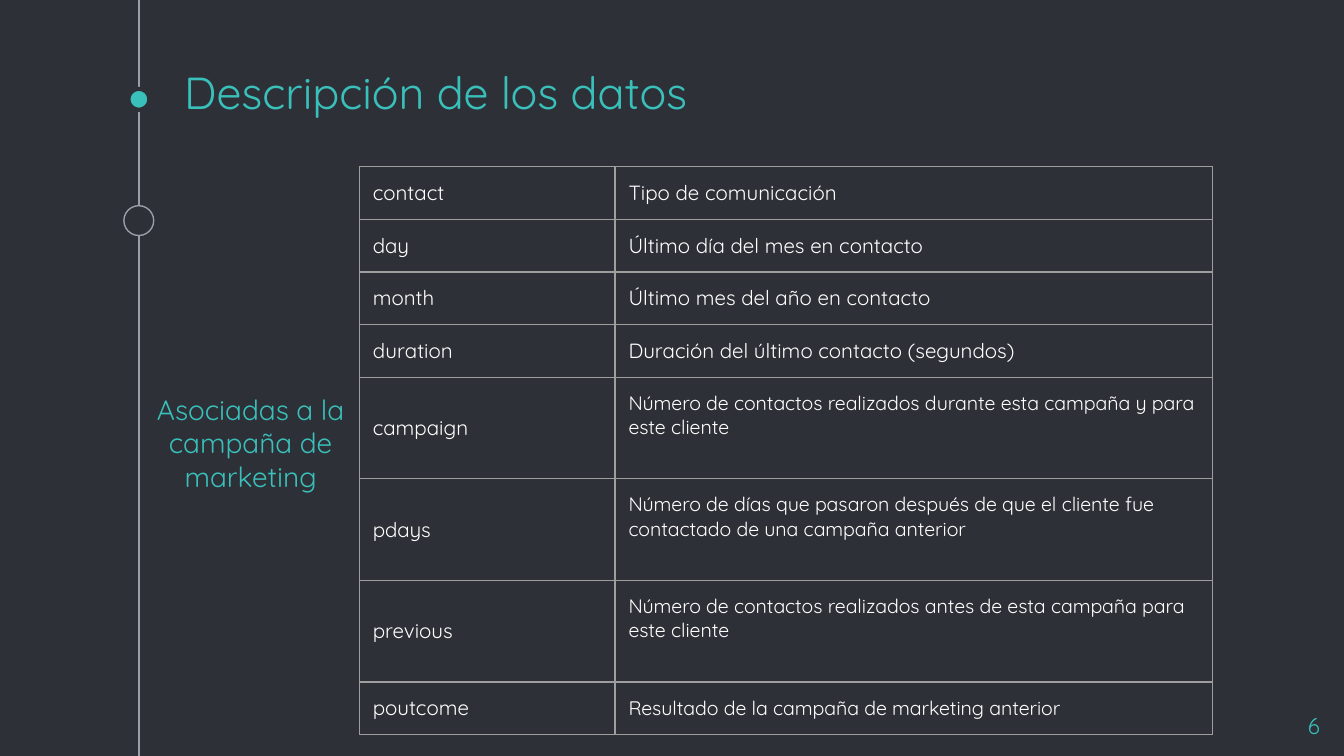
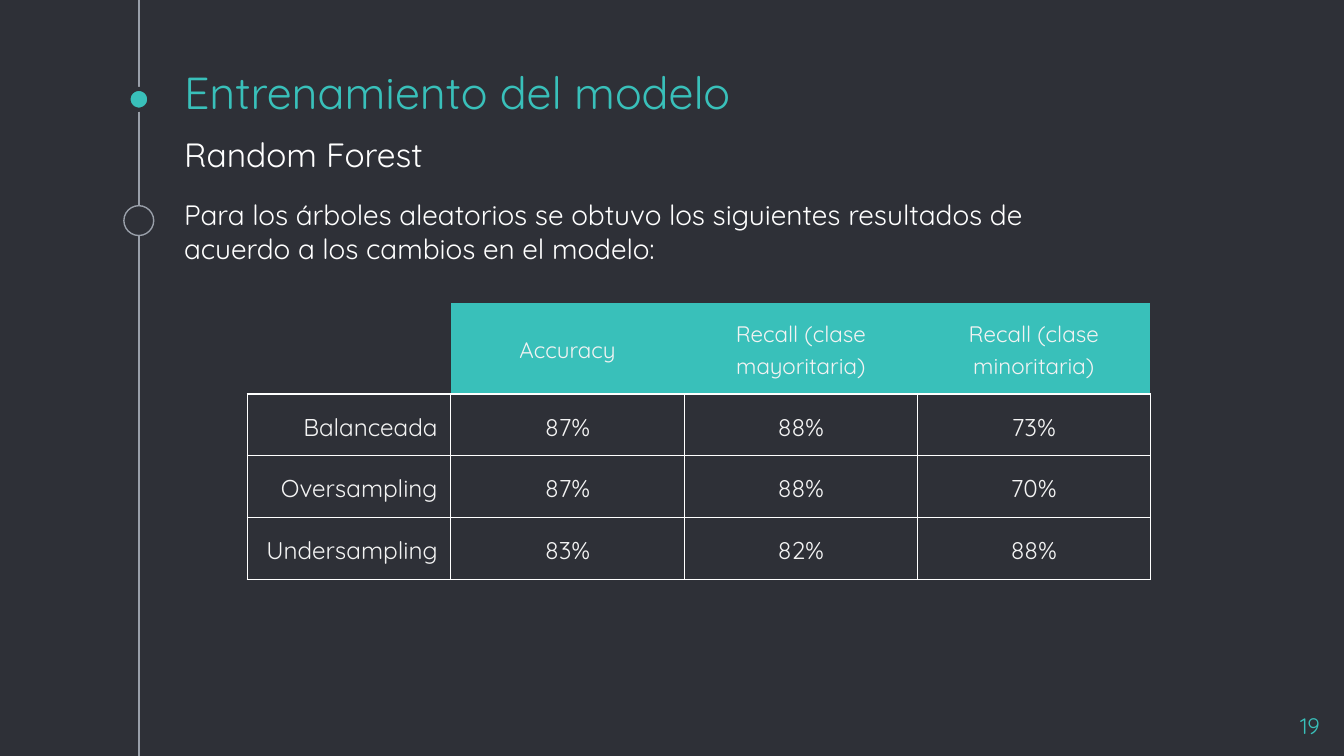
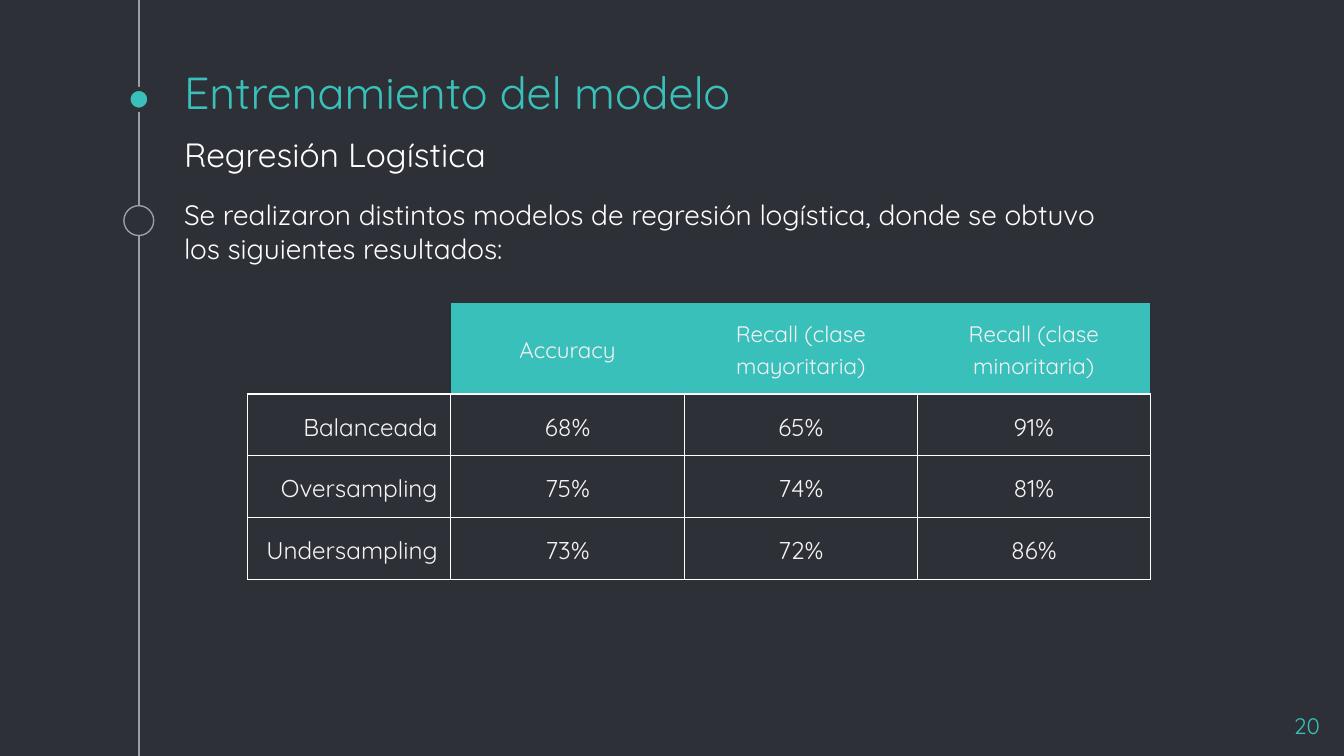
from lxml.etree import SubElement
from pptx import Presentation
from pptx.dml.color import RGBColor
from pptx.enum.shapes import MSO_CONNECTOR, MSO_SHAPE
from pptx.enum.text import MSO_ANCHOR, MSO_AUTO_SIZE, PP_ALIGN
from pptx.oxml.ns import qn
from pptx.util import Pt

COLORS = {
    "background": "2E3037",
    "accent": "39C0BA",
    "timeline": "999FA9",
    "grid": "9E9E9E",
    "header_text": "F3F3F3",
    "white": "FFFFFF",
}
FONT = "Quicksand"
MARGIN = 7.2
TIMELINE_X = 74.4
COMPARISON_LAYOUT = 4
SUBTITLE, BODY = 1, 3

VARIABLES = [
    ("contact", "Tipo de comunicación"),
    ("day", "Último día del mes en contacto"),
    ("month", "Último mes del año en contacto"),
    ("duration", "Duración del último contacto (segundos)"),
    ("campaign", "Número de contactos realizados durante esta campaña y para este cliente"),
    ("pdays", "Número de días que pasaron después de que el cliente fue contactado "
              "de una campaña anterior"),
    ("previous", "Número de contactos realizados antes de esta campaña para este cliente"),
    ("poutcome", "Resultado de la campaña de marketing anterior"),
]
FIRST_SMALL_ROW = 4
TALL_ROWS = (4, 5, 6)

METRICS = ["", "Accuracy", "Recall (clase mayoritaria)", "Recall (clase minoritaria)"]
SAMPLINGS = ["Balanceada", "Oversampling", "Undersampling"]
MODELS = [
    (19, "Random Forest",
     "Para los árboles aleatorios se obtuvo los siguientes resultados de acuerdo "
     "a los cambios en el modelo:",
     [("87%", "88%", "73%"), ("87%", "88%", "70%"), ("83%", "82%", "88%")]),
    (20, "Regresión Logística",
     "Se realizaron distintos modelos de regresión logística, donde se obtuvo "
     "los siguientes resultados:",
     [("68%", "65%", "91%"), ("75%", "74%", "81%"), ("73%", "72%", "86%")]),
]


def rgb(color):
    return RGBColor.from_string(COLORS[color])


class Deck:
    def __init__(self):
        self.presentation = Presentation()
        self.presentation.slide_width = Pt(720)
        self.presentation.slide_height = Pt(405)
        background = self.presentation.slide_master.background.fill
        background.solid()
        background.fore_color.rgb = rgb("background")
        self.slide = None

    def new_slide(self, number, title):
        layout = self.presentation.slide_layouts[COMPARISON_LAYOUT]
        self.slide = self.presentation.slides.add_slide(layout)
        self.timeline()
        self.placeholder(0, title, (91.4, 43.2, 540, 27.4), 24)
        number_box = self.slide.shapes.add_textbox(Pt(671), Pt(374.4), Pt(43.2), Pt(24.5))
        self.set_text(number_box.text_frame, str(number), 12, "accent", PP_ALIGN.RIGHT)

    def timeline(self):
        line = self.slide.shapes.add_connector(
            MSO_CONNECTOR.STRAIGHT, Pt(TIMELINE_X), 0, Pt(TIMELINE_X), Pt(405))
        line.line.color.rgb = rgb("timeline")
        line.line.width = Pt(0.75)
        SubElement(line._element.spPr, qn("a:effectLst"))
        self.dot(53.2, 11.2, "accent", "background", 2.25)
        self.dot(118.2, 16, "background", "timeline", 0.75)

    def dot(self, center_y, diameter, fill, outline, width):
        dot = self.slide.shapes.add_shape(
            MSO_SHAPE.OVAL, Pt(TIMELINE_X - diameter / 2), Pt(center_y - diameter / 2),
            Pt(diameter), Pt(diameter))
        dot.shadow.inherit = False
        dot.fill.solid()
        dot.fill.fore_color.rgb = rgb(fill)
        dot.line.color.rgb = rgb(outline)
        dot.line.width = Pt(width)

    def placeholder(self, index, text, box, size, color="accent",
                    align=PP_ALIGN.LEFT, anchor=MSO_ANCHOR.BOTTOM, space_before=0):
        shape = self.slide.placeholders[index]
        shape.left, shape.top, shape.width, shape.height = map(Pt, box)
        shape.text_frame.vertical_anchor = anchor
        self.set_text(shape.text_frame, text, size, color, align, space_before)

    def set_text(self, frame, text, size, color, align, space_before=0):
        frame.word_wrap = True
        frame.auto_size = MSO_AUTO_SIZE.NONE
        frame.margin_left = frame.margin_right = Pt(MARGIN)
        frame.margin_top = frame.margin_bottom = Pt(MARGIN)
        frame.text = text
        self.style_paragraph(frame.paragraphs[0], size, color, align,
                             space_before=space_before)

    def style_paragraph(self, paragraph, size, color, align, spacing=1.0, space_before=0):
        paragraph.alignment = align
        paragraph.line_spacing = spacing
        paragraph.space_before = Pt(space_before)
        for run in paragraph.runs:
            run.font.name = FONT
            run.font.size = Pt(size)
            run.font.bold = False
            run.font.color.rgb = rgb(color)

    def table(self, left, top, widths, heights):
        table = self.slide.shapes.add_table(
            len(heights), len(widths), Pt(left), Pt(top),
            Pt(sum(widths)), Pt(sum(heights))).table
        table.first_row = table.horz_banding = False
        for column, width in zip(table.columns, widths):
            column.width = Pt(width)
        for row, height in zip(table.rows, heights):
            row.height = Pt(height)
        return table

    def cell(self, cell, text, size, border, color="white", align=PP_ALIGN.LEFT,
             anchor=MSO_ANCHOR.MIDDLE, spacing=1.0, fill=None, sides="LRTB"):
        cell.margin_left = cell.margin_right = Pt(MARGIN)
        cell.margin_top = cell.margin_bottom = Pt(MARGIN)
        cell.vertical_anchor = anchor
        cell.text_frame.text = text
        self.style_paragraph(cell.text_frame.paragraphs[0], size, color, align, spacing)
        self.borders(cell, border, sides)
        if fill:
            cell.fill.solid()
            cell.fill.fore_color.rgb = rgb(fill)
        else:
            cell.fill.background()

    def borders(self, cell, color, sides):
        """Draw the given sides (letters of LRTB) and clear the others."""
        properties = cell._tc.get_or_add_tcPr()
        for side in "LRTB":
            line = SubElement(properties, qn(f"a:ln{side}"), w=str(Pt(0.75)))
            if side in sides:
                solid = SubElement(line, qn("a:solidFill"))
                SubElement(solid, qn("a:srgbClr"), val=COLORS[color])
            else:
                SubElement(line, qn("a:noFill"))

    def finish_slide(self):
        """Remove the placeholders left empty."""
        for shape in list(self.slide.placeholders):
            if not shape.text_frame.text:
                shape._element.getparent().remove(shape._element)


def add_variables_slide(deck):
    deck.new_slide(6, "Descripción de los datos")
    deck.placeholder(SUBTITLE, "Asociadas a la campaña de marketing",
                     (76.3, 187.2, 116, 84.2), 15, align=PP_ALIGN.CENTER)
    heights = [54.4 if row in TALL_ROWS else 28.1 for row in range(len(VARIABLES))]
    table = deck.table(192.5, 89.2, [137, 320], heights)
    for row, (name, description) in enumerate(VARIABLES):
        deck.cell(table.cell(row, 0), name, 11, "grid")
        deck.cell(table.cell(row, 1), description,
                  10.5 if row >= FIRST_SMALL_ROW else 11, "grid",
                  anchor=MSO_ANCHOR.TOP if row in TALL_ROWS else MSO_ANCHOR.MIDDLE)
    deck.finish_slide()


def add_model_slide(deck, number, model, introduction, results):
    deck.new_slide(number, "Entrenamiento del modelo")
    deck.placeholder(SUBTITLE, model, (91.4, 73.4, 540, 27.4), 18, "white")
    deck.placeholder(BODY, introduction, (91.4, 98.6, 525, 56.2), 15, "white",
                     anchor=MSO_ANCHOR.TOP, space_before=6)
    table = deck.table(132.5, 162.2, [109, 125.2, 124.8, 124.8], [48.2, 33, 33, 33])
    for column, metric in enumerate(METRICS):
        deck.cell(table.cell(0, column), metric, 12, "white", "header_text",
                  PP_ALIGN.CENTER, spacing=1.15, sides="B",
                  fill="accent" if metric else None)
    for row, (sampling, values) in enumerate(zip(SAMPLINGS, results), start=1):
        for column, text in enumerate((sampling, *values)):
            deck.cell(table.cell(row, column), text, 13, "white", "header_text",
                      PP_ALIGN.CENTER if column else PP_ALIGN.RIGHT,
                      MSO_ANCHOR.TOP, spacing=1.15)
    deck.finish_slide()


def main():
    deck = Deck()
    add_variables_slide(deck)
    for model in MODELS:
        add_model_slide(deck, *model)
    deck.presentation.save("out.pptx")


if __name__ == "__main__":
    main()
